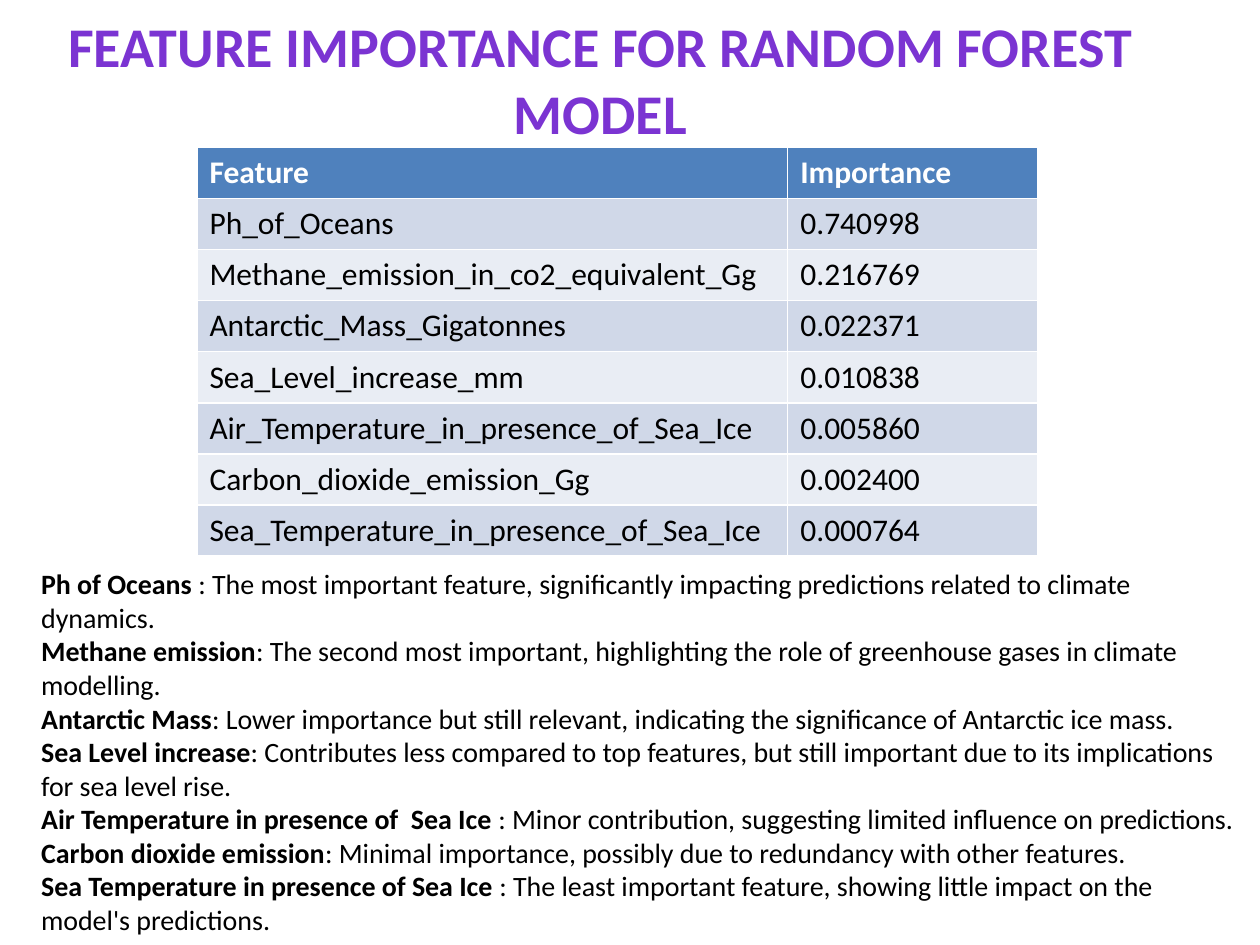
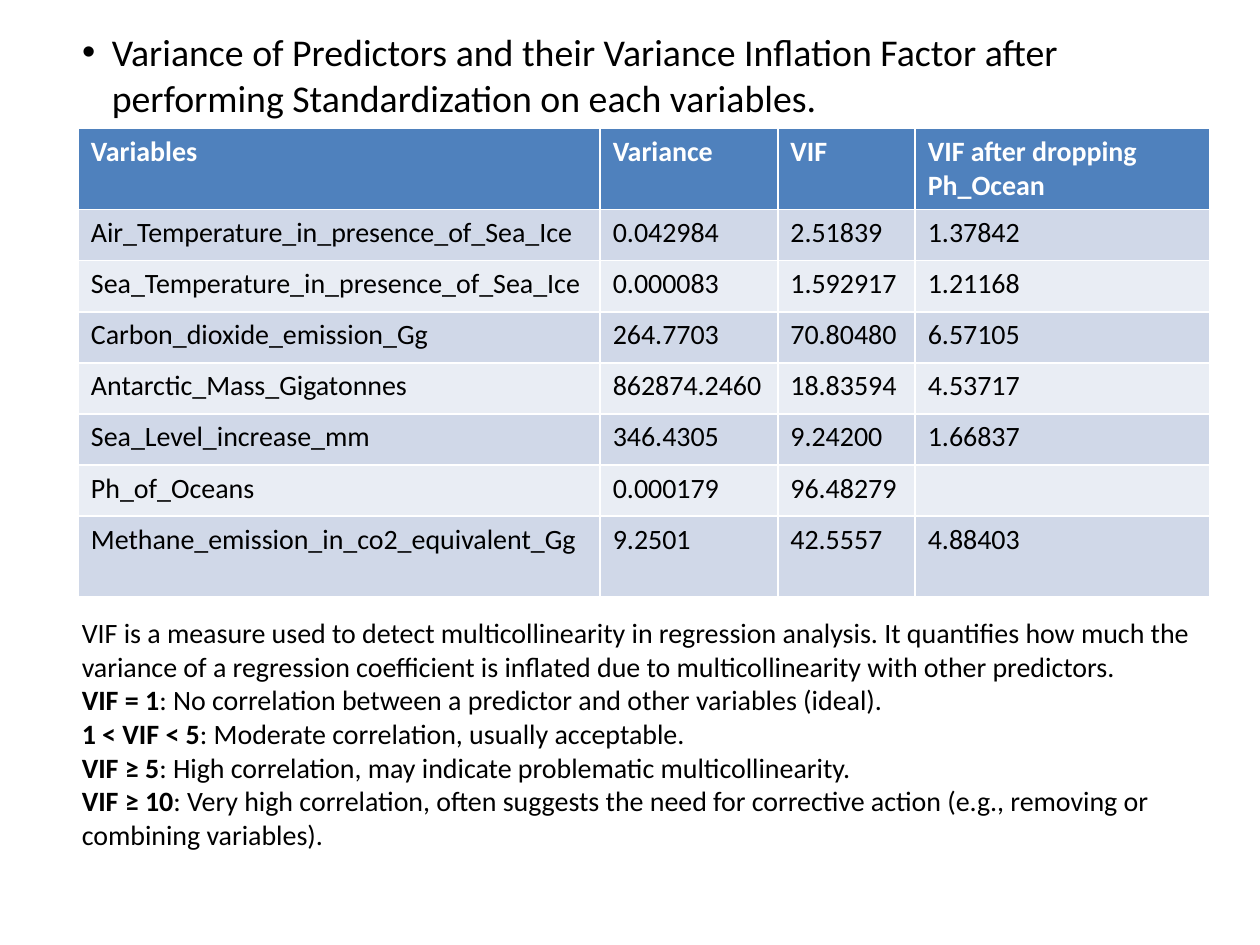
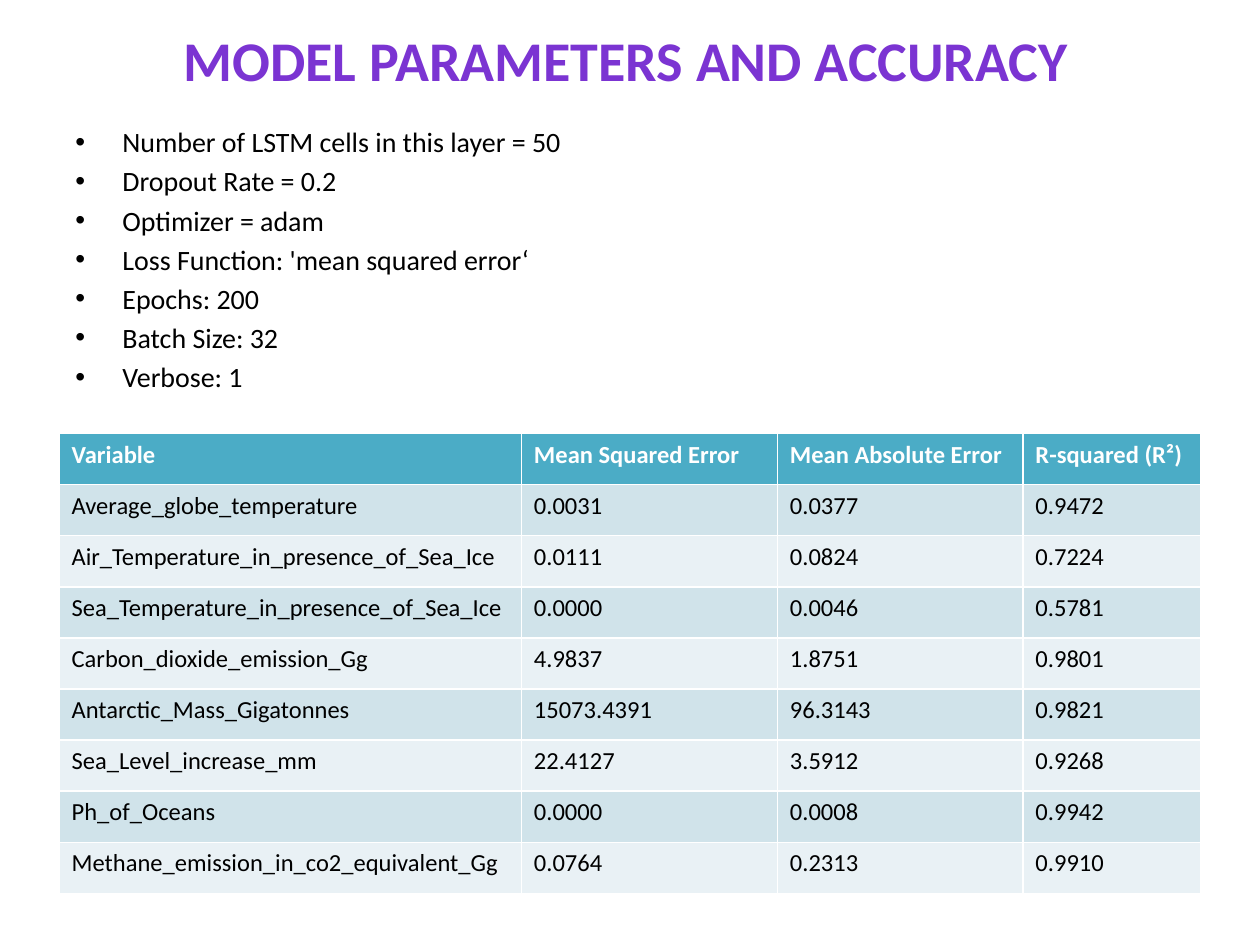
"""Build three slides on climate model features, variance inflation and accuracy."""
from dataclasses import dataclass

from lxml.etree import SubElement
from pptx import Presentation
from pptx.dml.color import RGBColor
from pptx.enum.text import MSO_ANCHOR, MSO_AUTO_SIZE, PP_ALIGN
from pptx.oxml.ns import qn
from pptx.slide import Slide
from pptx.text.text import Font, _Paragraph
from pptx.util import Cm, Length, Pt

FONT = "Calibri"
PURPLE = RGBColor(0x7B, 0x34, 0xD2)
BLACK = RGBColor(0x00, 0x00, 0x00)
WHITE = RGBColor(0xFF, 0xFF, 0xFF)
TITLE_SIZE = 32
BODY_SIZE = 16
ROW_HEIGHT = Cm(1.03)
TITLE_ONLY = 5


@dataclass(frozen=True)
class Box:
    left: Length
    top: Length
    width: Length
    height: Length


@dataclass(frozen=True)
class Palette:
    header: RGBColor
    odd: RGBColor
    even: RGBColor


@dataclass(frozen=True)
class DataTable:
    left: Length
    top: Length
    column_widths: tuple[Length, ...]
    rows: tuple[tuple[str, ...], ...]
    palette: Palette
    size: int


@dataclass(frozen=True)
class Note:
    term: str
    meaning: str


BLUE_BANDS = Palette(
    RGBColor(0x4F, 0x81, 0xBD), RGBColor(0xD0, 0xD8, 0xE8), RGBColor(0xE9, 0xED, 0xF4)
)
TEAL_BANDS = Palette(
    RGBColor(0x4B, 0xAC, 0xC6), RGBColor(0xD0, 0xE3, 0xEA), RGBColor(0xE9, 0xF1, 0xF5)
)

PH = "Ph_of_Oceans"
METHANE = "Methane_emission_in_co2_equivalent_Gg"
ANTARCTIC = "Antarctic_Mass_Gigatonnes"
SEA_LEVEL = "Sea_Level_increase_mm"
AIR_TEMPERATURE = "Air_Temperature_in_presence_of_Sea_Ice"
SEA_TEMPERATURE = "Sea_Temperature_in_presence_of_Sea_Ice"
CARBON = "Carbon_dioxide_emission_Gg"

IMPORTANCE = DataTable(
    Cm(3.97), Cm(2.97), (Cm(11.91), Cm(5.03)),
    (
        ("Feature", "Importance"),
        (PH, "0.740998"),
        (METHANE, "0.216769"),
        (ANTARCTIC, "0.022371"),
        (SEA_LEVEL, "0.010838"),
        (AIR_TEMPERATURE, "0.005860"),
        (CARBON, "0.002400"),
        (SEA_TEMPERATURE, "0.000764"),
    ),
    BLUE_BANDS, 18,
)
IMPORTANCE_NOTES = (
    Note("Ph of Oceans ", ": The most important feature, significantly impacting "
         "predictions related to climate dynamics."),
    Note("Methane emission", ": The second most important, highlighting the role of "
         "greenhouse gases in climate modelling."),
    Note("Antarctic Mass", ": Lower importance but still relevant, indicating the "
         "significance of Antarctic ice mass."),
    Note("Sea Level increase", ": Contributes less compared to top features, but still "
         "important due to its implications for sea level rise."),
    Note("Air Temperature in presence of  Sea Ice ", ": Minor contribution, suggesting "
         "limited influence on predictions."),
    Note("Carbon dioxide emission", ": Minimal importance, possibly due to redundancy "
         "with other features."),
    Note("Sea Temperature in presence of Sea Ice ", ": The least important feature, "
         "showing little impact on the model's predictions."),
)

VARIANCE = DataTable(
    Cm(1.58), Cm(2.59), (Cm(10.52), Cm(3.58), Cm(2.77), Cm(5.94)),
    (
        ("Variables", "Variance", "VIF", "VIF after dropping Ph_Ocean"),
        (AIR_TEMPERATURE, "0.042984", "2.51839", "1.37842"),
        (SEA_TEMPERATURE, "0.000083", "1.592917", "1.21168"),
        (CARBON, "264.7703", "70.80480", "6.57105"),
        (ANTARCTIC, "862874.2460", "18.83594", "4.53717"),
        (SEA_LEVEL, "346.4305", "9.24200", "1.66837"),
        (PH, "0.000179", "96.48279", ""),
        (METHANE, "9.2501", "42.5557", "4.88403"),
    ),
    BLUE_BANDS, 16,
)
VIF_NOTES = (
    Note("", "VIF is a measure used to detect multicollinearity in regression analysis. "
         "It quantifies how much the variance of a regression coefficient is inflated "
         "due to multicollinearity with other predictors."),
    Note("VIF = 1", ": No correlation between a predictor and other variables (ideal)."),
    Note("1 < VIF < 5", ": Moderate correlation, usually acceptable."),
    Note("VIF ≥ 5", ": High correlation, may indicate problematic multicollinearity."),
    Note("VIF ≥ 10", ": Very high correlation, often suggests the need for corrective "
         "action (e.g., removing or combining variables)."),
)

PARAMETERS = (
    Note("", "Number of LSTM cells in this layer = 50"),
    Note("", "Dropout Rate = 0.2"),
    Note("", "Optimizer = adam"),
    Note("", "Loss Function: 'mean squared error‘"),
    Note("", "Epochs: 200"),
    Note("", "Batch Size: 32"),
    Note("", "Verbose: 1"),
)
ACCURACY = DataTable(
    Cm(1.19), Cm(8.74), (Cm(9.32), Cm(5.16), Cm(4.95), Cm(3.58)),
    (
        ("Variable", "Mean Squared Error", "Mean Absolute Error", "R-squared (R²)"),
        ("Average_globe_temperature", "0.0031", "0.0377", "0.9472"),
        (AIR_TEMPERATURE, "0.0111", "0.0824", "0.7224"),
        (SEA_TEMPERATURE, "0.0000", "0.0046", "0.5781"),
        (CARBON, "4.9837", "1.8751", "0.9801"),
        (ANTARCTIC, "15073.4391", "96.3143", "0.9821"),
        (SEA_LEVEL, "22.4127", "3.5912", "0.9268"),
        (PH, "0.0000", "0.0008", "0.9942"),
        (METHANE, "0.0764", "0.2313", "0.9910"),
    ),
    TEAL_BANDS, 14,
)


def style_font(font: Font, size: float, color: RGBColor, bold: bool = False) -> None:
    """Set the typeface, size, colour and weight of a font."""
    font.name = FONT
    font.size = Pt(size)
    font.color.rgb = color
    font.bold = bold


def add_bullet(paragraph: _Paragraph, indent: Length) -> None:
    """Give a paragraph a round bullet with a hanging indent."""
    properties = paragraph._p.get_or_add_pPr()
    properties.set("marL", str(indent))
    properties.set("indent", str(-indent))
    SubElement(properties, qn("a:buFont")).set("typeface", "Arial")
    SubElement(properties, qn("a:buChar")).set("char", "•")


def set_title(slide: Slide, text: str, box: Box, size: float = TITLE_SIZE,
              color: RGBColor = PURPLE, bold: bool = True) -> _Paragraph:
    """Place and format the title placeholder and return its paragraph."""
    title = slide.shapes.title
    title.left, title.top, title.width, title.height = (
        box.left, box.top, box.width, box.height
    )
    frame = title.text_frame
    frame.text = text
    frame.auto_size = MSO_AUTO_SIZE.NONE
    frame.vertical_anchor = MSO_ANCHOR.MIDDLE
    heading = frame.paragraphs[0]
    heading.alignment = PP_ALIGN.CENTER
    style_font(heading.runs[0].font, size, color, bold)
    return heading


def add_notes(slide: Slide, notes: tuple[Note, ...], box: Box) -> list[_Paragraph]:
    """Write one paragraph per note, its term in bold, and return the paragraphs."""
    frame = slide.shapes.add_textbox(box.left, box.top, box.width, box.height).text_frame
    frame.word_wrap = True
    for index, note in enumerate(notes):
        paragraph = frame.add_paragraph() if index else frame.paragraphs[0]
        for text, bold in ((note.term, True), (note.meaning, False)):
            if text:
                run = paragraph.add_run()
                run.text = text
                style_font(run.font, BODY_SIZE, BLACK, bold)
    return list(frame.paragraphs)


def add_data_table(slide: Slide, data: DataTable,
                   row_heights: dict[int, Length] | None = None) -> None:
    """Draw a banded table; row_heights replaces the usual height of some rows."""
    special = row_heights or {}
    heights = [special.get(index, ROW_HEIGHT) for index in range(len(data.rows))]
    table = slide.shapes.add_table(
        len(data.rows), len(data.column_widths), data.left, data.top,
        sum(data.column_widths), sum(heights),
    ).table
    for column, width in zip(table.columns, data.column_widths):
        column.width = width
    for index, (row, height, values) in enumerate(zip(table.rows, heights, data.rows)):
        row.height = height
        is_header = index == 0
        band = data.palette.odd if index % 2 else data.palette.even
        for cell, value in zip(row.cells, values):
            cell.fill.solid()
            cell.fill.fore_color.rgb = data.palette.header if is_header else band
            cell.text_frame.text = value
            for run in cell.text_frame.paragraphs[0].runs:
                style_font(run.font, data.size, WHITE if is_header else BLACK, is_header)


def build_importance(slide: Slide) -> None:
    """Show how much each feature matters to the random forest."""
    set_title(slide, "FEATURE IMPORTANCE FOR RANDOM FOREST MODEL",
              Box(Cm(0), Cm(0), Cm(24.21), Cm(3.18)))
    add_data_table(slide, IMPORTANCE)
    add_notes(slide, IMPORTANCE_NOTES, Box(Cm(0.58), Cm(11.3), Cm(24.82), Cm(7.77)))


def build_variance(slide: Slide) -> None:
    """Show the variance and inflation factor of each predictor."""
    heading = set_title(
        slide,
        "Variance of Predictors and their Variance Inflation Factor after performing "
        "Standardization on each variables.",
        Box(Cm(1.4), Cm(0.41), Cm(22.86), Cm(2.18)), 21.6, BLACK, False,
    )
    heading.alignment = PP_ALIGN.LEFT
    add_bullet(heading, Cm(0.6))
    add_data_table(slide, VARIANCE, {0: Cm(1.6), len(VARIANCE.rows) - 1: Cm(1.63)})
    add_notes(slide, VIF_NOTES, Box(Cm(1.4), Cm(12.29), Cm(23.01), Cm(5.74)))


def build_accuracy(slide: Slide) -> None:
    """List the model parameters above the accuracy table."""
    set_title(slide, "MODEL PARAMETERS AND ACCURACY",
              Box(Cm(1.19), Cm(0), Cm(22.86), Cm(2.39)))
    parameters = add_notes(
        slide, PARAMETERS, Box(Cm(1.27), Cm(2.39), Cm(22.86), Cm(5.77))
    )
    for parameter in parameters:
        parameter.space_before = Pt(BODY_SIZE * 0.2)
        add_bullet(parameter, Cm(0.95))
    add_data_table(slide, ACCURACY)


def main() -> None:
    """Build and save the presentation."""
    presentation = Presentation()
    presentation.slide_width, presentation.slide_height = Cm(25.4), Cm(19.05)
    layout = presentation.slide_layouts[TITLE_ONLY]
    for build in (build_importance, build_variance, build_accuracy):
        build(presentation.slides.add_slide(layout))
    presentation.save("out.pptx")


if __name__ == "__main__":
    main()
